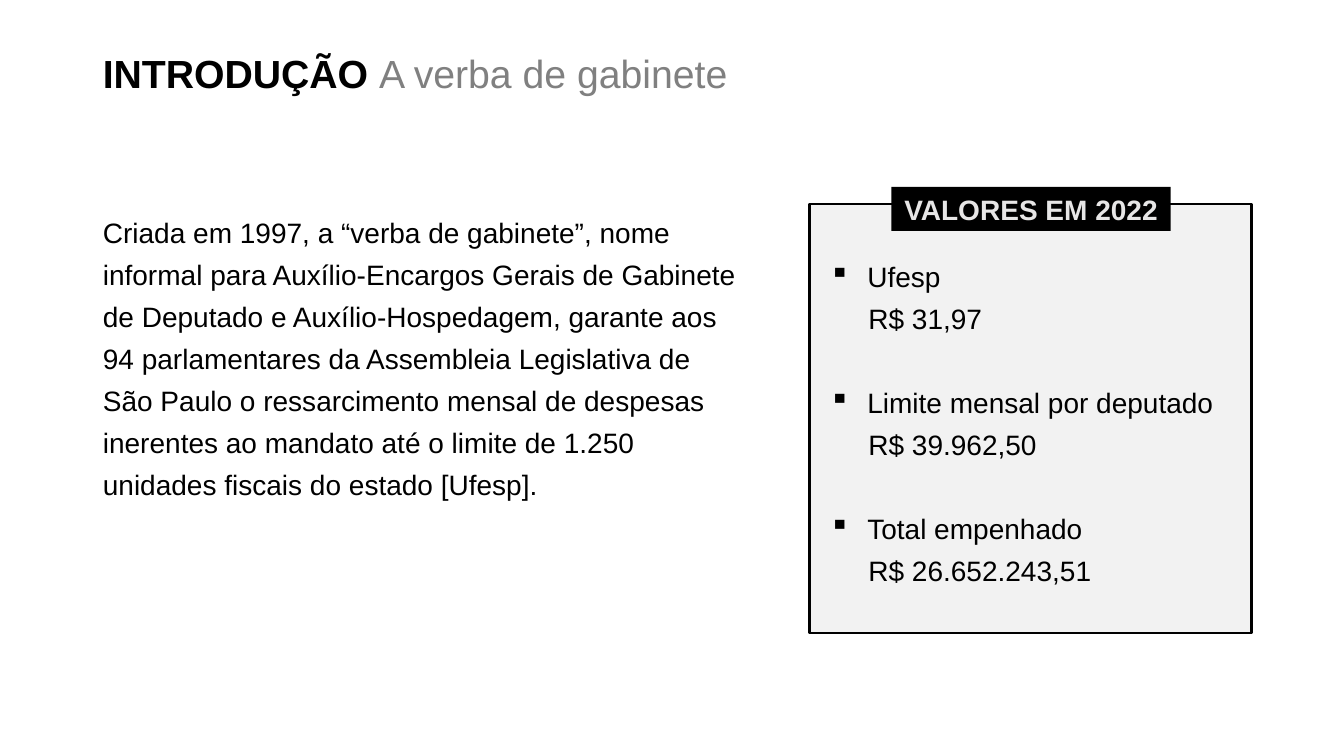
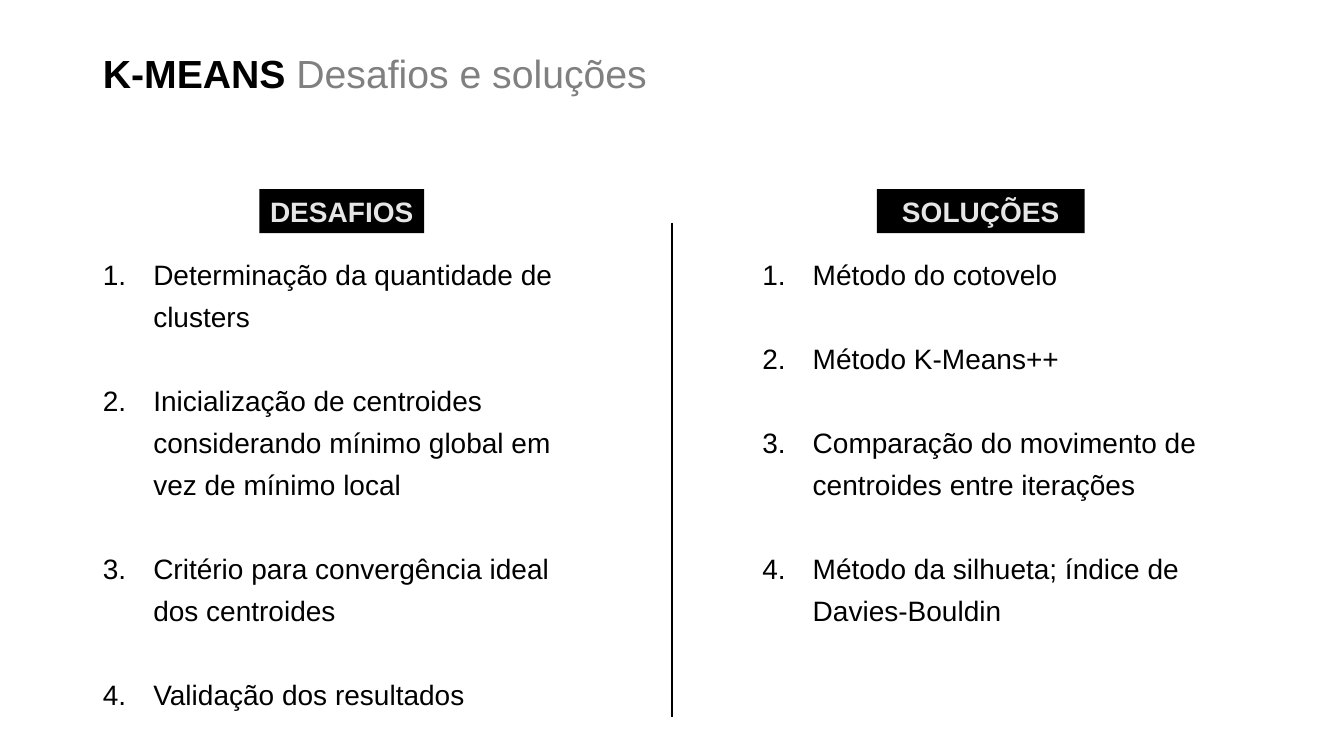
from dataclasses import dataclass

from lxml import etree
from pptx import Presentation
from pptx.dml.color import RGBColor
from pptx.enum.shapes import MSO_CONNECTOR, MSO_SHAPE
from pptx.enum.text import MSO_ANCHOR, PP_ALIGN
from pptx.oxml.ns import qn
from pptx.util import Emu, Pt

RECTANGLE = MSO_SHAPE.RECTANGLE
STRAIGHT = MSO_CONNECTOR.STRAIGHT
TOP, MIDDLE = MSO_ANCHOR.TOP, MSO_ANCHOR.MIDDLE
LEFT, CENTER = PP_ALIGN.LEFT, PP_ALIGN.CENTER

EMU_PER_PX = 9525
COLORS = {
    "text": "000000",
    "subtitle": "808080",
    "panel": "F2F2F2",
    "label": "000000",
    "label_text": "E7E6E6",
    "line": "000000",
}
FONT = "Arial"
TITLE_SIZE, TEXT_SIZE = 28, 20
LINE_PITCH = 30  # points
LINE_WIDTH = 1.5  # points
INSET_X, INSET_Y = 10, 5
LIST_INSET_Y = 45  # leaves one line free above a list
LABEL_HEIGHT = 42


@dataclass(frozen=True)
class Box:
    left: int
    top: int
    width: int
    height: int


@dataclass(frozen=True)
class Label:
    text: str
    box: Box


@dataclass(frozen=True)
class NumberedColumn:
    label: Label
    box: Box
    items: tuple[str, ...]


TITLE_BOX = Box(88, 38, 1104, 139)
BODY_BOX = Box(88, 192, 629, 471)
PANEL_BOX = Box(771, 194, 421, 409)

INTRODUCTION = (
    "Criada em 1997, a “verba de gabinete”, nome informal para "
    "Auxílio-Encargos Gerais de Gabinete de Deputado e Auxílio-Hospedagem, "
    "garante aos 94 parlamentares da Assembleia Legislativa de São Paulo o "
    "ressarcimento mensal de despesas inerentes ao mandato até o limite de "
    "1.250 unidades fiscais do estado [Ufesp]."
)
VALUES_LABEL = Label("VALORES EM 2022", Box(849, 178, 266, LABEL_HEIGHT))
VALUES = (
    ("Ufesp", "R$ 31,97"),
    ("Limite mensal por deputado", "R$ 39.962,50"),
    ("Total empenhado", "R$ 26.652.243,51"),
)
COLUMNS = (
    NumberedColumn(
        Label("DESAFIOS", Box(247, 180, 157, LABEL_HEIGHT)),
        Box(88, 192, 476, 471),
        (
            "Determinação da quantidade de clusters",
            "Inicialização de centroides considerando mínimo global em vez de mínimo local",
            "Critério para convergência ideal dos centroides",
            "Validação dos resultados",
        ),
    ),
    NumberedColumn(
        Label("SOLUÇÕES", Box(835, 180, 198, LABEL_HEIGHT)),
        Box(716, 192, 435, 471),
        (
            "Método do cotovelo",
            "Método K-Means++",
            "Comparação do movimento de centroides entre iterações",
            "Método da silhueta; índice de Davies-Bouldin",
        ),
    ),
)


def px(value: int) -> Emu:
    return Emu(value * EMU_PER_PX)


def color(name: str) -> RGBColor:
    return RGBColor.from_string(COLORS[name])


def place(box: Box) -> tuple[Emu, Emu, Emu, Emu]:
    return px(box.left), px(box.top), px(box.width), px(box.height)


# Text helpers
def set_frame(frame, anchor=TOP, inset_x: int = INSET_X, inset_top: int = INSET_Y) -> None:
    frame.word_wrap = True
    frame.vertical_anchor = anchor
    frame.margin_left = frame.margin_right = px(inset_x)
    frame.margin_top, frame.margin_bottom = px(inset_top), px(INSET_Y)


def add_run(paragraph, text: str, color_name: str = "text",
            size: int = TEXT_SIZE, bold: bool = False) -> None:
    run = paragraph.add_run()
    run.text = text
    run.font.name = FONT
    run.font.size = Pt(size)
    run.font.bold = bold
    run.font.color.rgb = color(color_name)


def add_line(frame, text: str, gap: bool = False):
    """Write the next paragraph, with one line free above it if gap is set."""
    first = frame.paragraphs[0]
    paragraph = frame.add_paragraph() if first.runs else first
    paragraph.alignment = LEFT
    paragraph.line_spacing = Pt(LINE_PITCH)
    paragraph.space_before = Pt(LINE_PITCH if gap else 0)
    add_run(paragraph, text)
    return paragraph


def set_indent(paragraph, margin: int, hanging: int = 0):
    properties = paragraph._p.get_or_add_pPr()
    properties.set("marL", str(px(margin)))
    properties.set("indent", str(px(-hanging)))
    return properties


def add_marker(paragraph, indent: int, tag: str, **attributes: str) -> None:
    properties = set_indent(paragraph, indent, indent)
    etree.SubElement(properties, qn(tag), attributes)


# Slide parts
def add_text_box(slide, box: Box, inset_top: int = INSET_Y):
    frame = slide.shapes.add_textbox(*place(box)).text_frame
    set_frame(frame, inset_top=inset_top)
    return frame


def add_rectangle(slide, box: Box, fill: str, line: str | None = None):
    shape = slide.shapes.add_shape(RECTANGLE, *place(box))
    shape.shadow.inherit = False
    shape.fill.solid()
    shape.fill.fore_color.rgb = color(fill)
    if line is None:
        shape.line.fill.background()
    else:
        shape.line.color.rgb = color(line)
        shape.line.width = Pt(LINE_WIDTH)
    return shape


def add_title(slide, topic: str, subtitle: str) -> None:
    paragraph = add_text_box(slide, TITLE_BOX, inset_top=9).paragraphs[0]
    add_run(paragraph, topic + " ", size=TITLE_SIZE, bold=True)
    add_run(paragraph, subtitle, "subtitle", TITLE_SIZE)


def add_label(slide, label: Label) -> None:
    frame = add_rectangle(slide, label.box, "label").text_frame
    set_frame(frame, MIDDLE)
    frame.word_wrap = False
    paragraph = frame.paragraphs[0]
    paragraph.alignment = CENTER
    add_run(paragraph, label.text, "label_text", bold=True)


def add_values_panel(slide) -> None:
    frame = add_rectangle(slide, PANEL_BOX, "panel", "line").text_frame
    set_frame(frame, inset_x=19, inset_top=LIST_INSET_Y)
    for index, (name, amount) in enumerate(VALUES):
        add_marker(add_line(frame, name, gap=index > 0), 36, "a:buChar", char="▪")
        set_indent(add_line(frame, amount), 37)
    add_label(slide, VALUES_LABEL)


def add_numbered_column(slide, column: NumberedColumn) -> None:
    frame = add_text_box(slide, column.box, LIST_INSET_Y)
    for index, item in enumerate(column.items):
        add_marker(add_line(frame, item, gap=index > 0), 48,
                   "a:buAutoNum", type="arabicPeriod")
    add_label(slide, column.label)


def add_divider(slide, x: int, top: int, bottom: int) -> None:
    divider = slide.shapes.add_connector(STRAIGHT, px(x), px(top), px(x), px(bottom))
    divider.line.color.rgb = color("line")
    divider.line.width = Pt(LINE_WIDTH)
    etree.SubElement(divider._element.spPr, qn("a:effectLst"))


# Slides
def build_introduction(slide) -> None:
    add_title(slide, "INTRODUÇÃO", "A verba de gabinete")
    add_line(add_text_box(slide, BODY_BOX), INTRODUCTION)
    add_values_panel(slide)


def build_k_means(slide) -> None:
    add_title(slide, "K-MEANS", "Desafios e soluções")
    for column in COLUMNS:
        add_numbered_column(slide, column)
    add_divider(slide, 640, 212, 683)


def main() -> None:
    presentation = Presentation()
    presentation.slide_width, presentation.slide_height = px(1280), px(720)
    blank_layout = presentation.slide_layouts[6]
    for build in (build_introduction, build_k_means):
        build(presentation.slides.add_slide(blank_layout))
    presentation.save("out.pptx")


if __name__ == "__main__":
    main()
